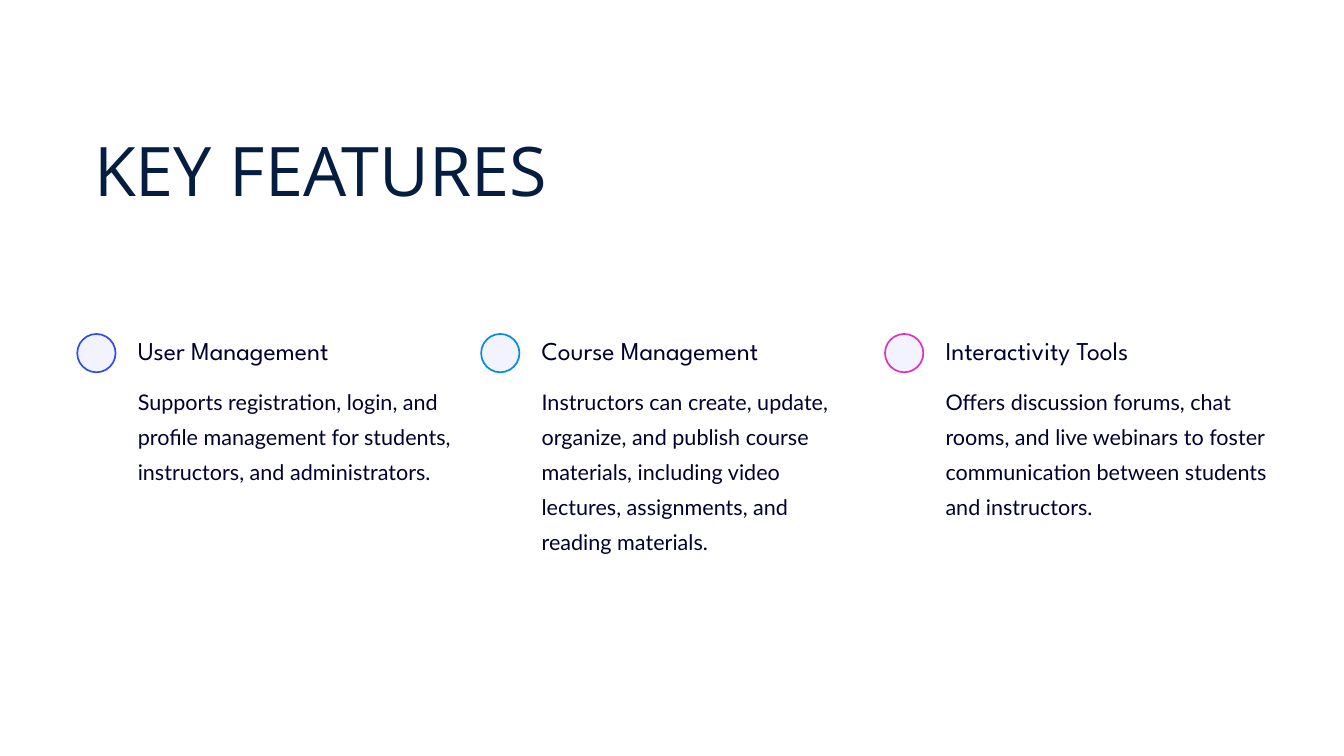
from pptx import Presentation
from pptx.dml.color import RGBColor
from pptx.enum.shapes import MSO_SHAPE
from pptx.util import Inches, Pt

ROUNDED_RECTANGLE = MSO_SHAPE.ROUNDED_RECTANGLE

NAVY = RGBColor(0x05, 0x1D, 0x40)
INK = RGBColor(0x00, 0x00, 0x2E)
LAVENDER = RGBColor(0xF3, 0xF3, 0xFF)
BLUE = RGBColor(0x2D, 0x4D, 0xF2)
CYAN = RGBColor(0x01, 0x8C, 0xE1)
MAGENTA = RGBColor(0xDA, 0x33, 0xBF)

TITLE = "KEY FEATURES"
FEATURES = [
    ("User Management",
     "Supports registration, login, and profile management for students, "
     "instructors, and administrators.", BLUE, 3),
    ("Course Management",
     "Instructors can create, update, organize, and publish course materials, "
     "including video lectures, assignments, and reading materials.", CYAN, 5),
    ("Interactivity Tools",
     "Offers discussion forums, chat rooms, and live webinars to foster "
     "communication between students and instructors.", MAGENTA, 4),
]

COLUMN_LEFT = 1.15
COLUMN_PITCH = 6.01
TEXT_OFFSET = 0.9
ROW_TOP = 4.97
BODY_TOP = 5.65
MARKER_SIZE = 0.57
BODY_SPACING = 37.5


def add_text(slide, text, box, font_name, size, spacing, color, wrap=True):
    shape = slide.shapes.add_textbox(*(Inches(length) for length in box))
    frame = shape.text_frame
    frame.word_wrap = wrap
    frame.margin_left = frame.margin_right = 0
    frame.margin_top = frame.margin_bottom = 0
    paragraph = frame.paragraphs[0]
    paragraph.line_spacing = Pt(spacing)
    run = paragraph.add_run()
    run.text = text
    run.font.name = font_name
    run.font.size = Pt(size)
    run.font.color.rgb = color


def add_marker(slide, left, color):
    marker = slide.shapes.add_shape(
        ROUNDED_RECTANGLE, Inches(left), Inches(ROW_TOP),
        Inches(MARKER_SIZE), Inches(MARKER_SIZE))
    marker.adjustments[0] = 0.5
    marker.shadow.inherit = False
    marker.fill.solid()
    marker.fill.fore_color.rgb = LAVENDER
    marker.line.color.rgb = color
    marker.line.width = Pt(1.8)


def main():
    presentation = Presentation()
    presentation.slide_width = Inches(20)
    presentation.slide_height = Inches(11.25)
    slide = presentation.slides.add_slide(presentation.slide_layouts[6])

    for column, (heading, body, color, lines) in enumerate(FEATURES):
        left = COLUMN_LEFT + column * COLUMN_PITCH
        text_left = left + TEXT_OFFSET
        add_marker(slide, left, color)
        add_text(slide, heading, (text_left, ROW_TOP, 3.85, 0.48),
                 "League Spartan", 27.5, 34.4, INK, wrap=False)
        add_text(slide, body,
                 (text_left, BODY_TOP, 4.79, lines * BODY_SPACING / 72),
                 "Lato", 23.1, BODY_SPACING, INK)

    add_text(slide, TITLE, (1.4, 1.71, 11.25, 1.34),
             "Open Sans", 73.2, 102.5, NAVY)
    presentation.save("out.pptx")


if __name__ == "__main__":
    main()
